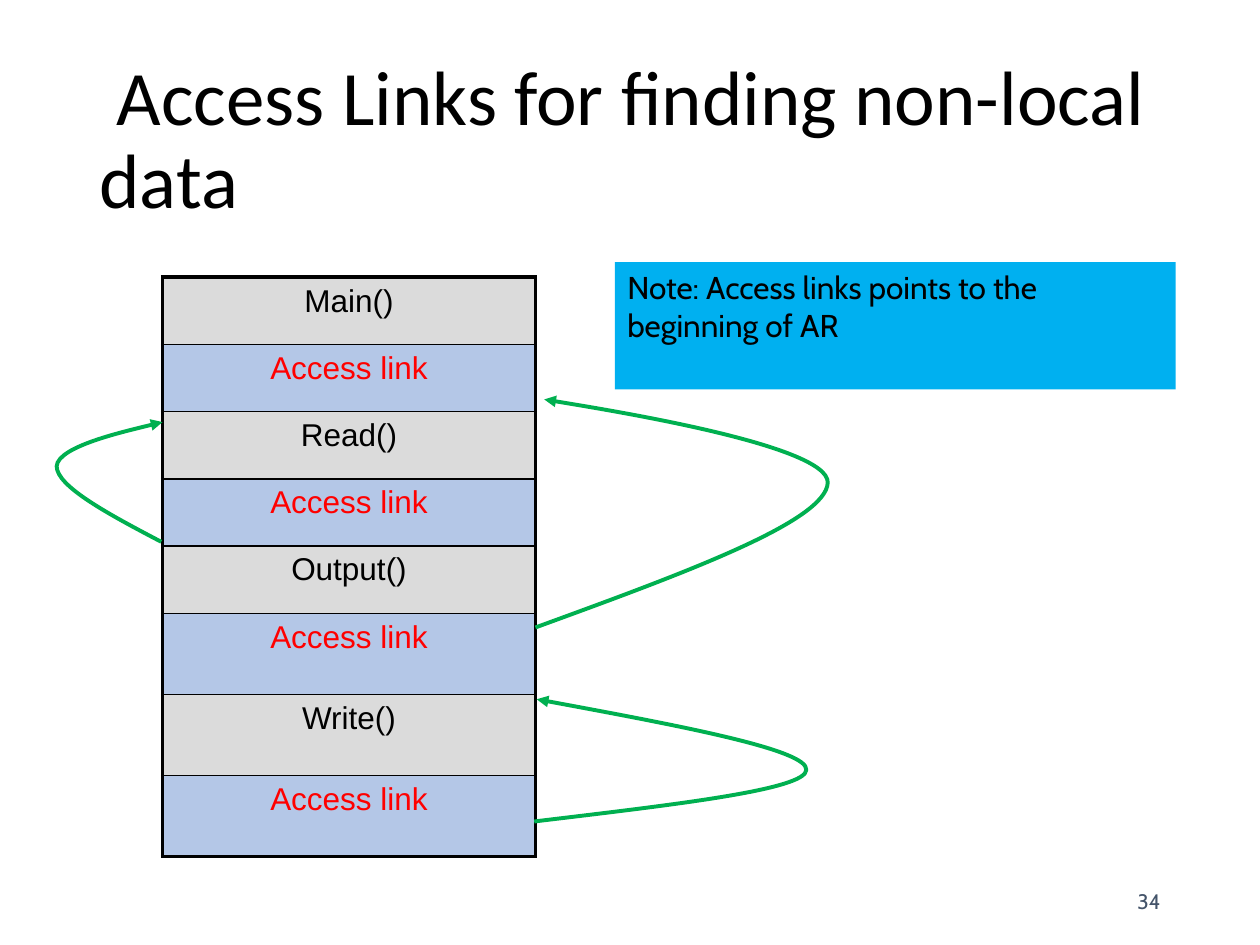
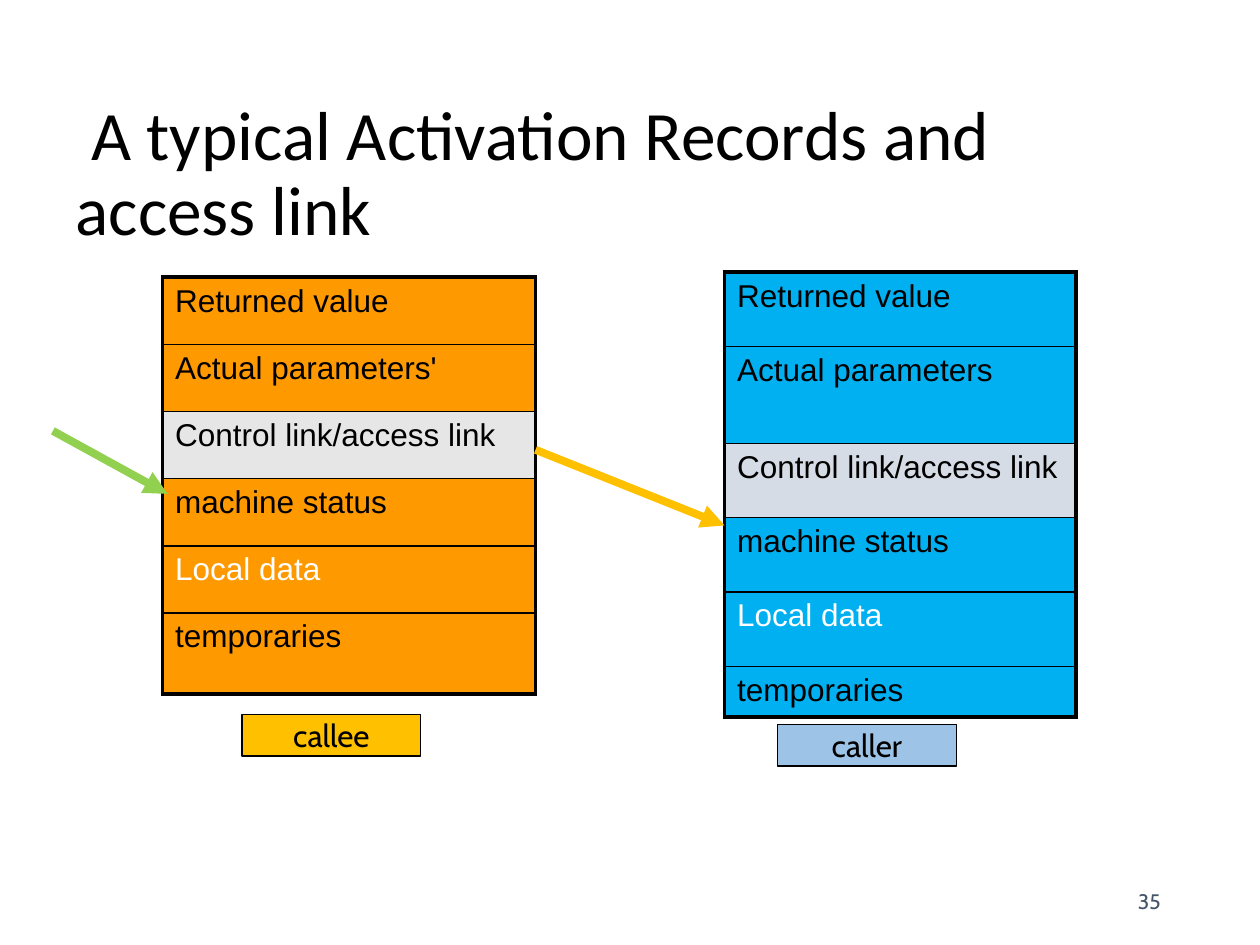
import pptx
import pptx.util
import pptx.dml.color
import pptx.enum.shapes
import pptx.enum.text
import pptx.oxml
import pptx.oxml.ns

Inches = pptx.util.Inches
Pt = pptx.util.Pt
ALIGN = pptx.enum.text.PP_ALIGN
ANCHOR = pptx.enum.text.MSO_ANCHOR
RECTANGLE = pptx.enum.shapes.MSO_SHAPE.RECTANGLE

WIDTH, HEIGHT = 10, 7.5
BLACK, WHITE, RED, SLATE = "000000", "FFFFFF", "FF0000", "44546A"
GREY, PALE_BLUE, GREEN = "DBDBDB", "B4C7E7", "00B050"
ORANGE, SKY, AMBER, LIME = "FF9900", "00B0F0", "FFC000", "92D050"
BODY_FONT, TABLE_FONT, TITLE_FONT = "Cabin", "Arial", "Calibri"
NUMBER_PLACE = (7.06, 6.95, 2.25, 0.4)
THICK, THIN = 2.25, 1

PROCEDURES = ["Main()", "Read()", "Output()", "Write()"]
STACK_ROWS = [
    row
    for name in PROCEDURES
    for row in ((name, GREY, BLACK), ("Access link", PALE_BLUE, RED))
]
STACK_PLACE = (1.29, 2.2, 2.96, 4.6)
STACK_SHARES = [53] * 5 + [64] * 3
NOTE = "Note: Access links points to the beginning of AR"

# Each link is a chain of cubic curves: start, then two controls and an end per curve
ACCESS_LINKS = [
    [(1.28, 4.3), (0.86, 4.08), (0.45, 3.86), (0.45, 3.7),
     (0.46, 3.54), (1.29, 3.35), (1.29, 3.35)],
    [(4.25, 4.98), (5.4, 4.56), (6.56, 4.14), (6.57, 3.83),
     (6.58, 3.53), (4.32, 3.17), (4.32, 3.17)],
    [(4.24, 6.52), (5.32, 6.39), (6.4, 6.27), (6.4, 6.11),
     (6.41, 5.95), (5.34, 5.75), (4.26, 5.55)],
]

RECORD_FIELDS = ["Returned value", "Actual parameters", "Control link/access link",
                 "machine status", "Local data", "temporaries"]
RECORDS = [
    dict(place=(1.29, 2.2, 2.96, 3.31), shares=[53] * 5 + [64],
         fill=ORANGE, link_fill="E7E6E6", suffix="'",
         label="callee", label_fill=AMBER, label_at=(1.92, 5.67)),
    dict(place=(5.75, 2.16, 2.79, 3.53), shares=[59, 77] + [59] * 3 + [40],
         fill=SKY, link_fill="D6DCE5", suffix="",
         label="caller", label_fill="9DC3E6", label_at=(6.17, 5.75)),
]
RECORD_ARROWS = [
    ((4.25, 3.57), (5.75, 4.17), AMBER),
    ((0.42, 3.42), (1.33, 3.92), LIME),
]


def color(value):
    return pptx.dml.color.RGBColor.from_string(value)


def element(tag, **attributes):
    node = pptx.oxml.parse_xml(f"<{tag} {pptx.oxml.ns.nsdecls('a')}/>")
    for name, value in attributes.items():
        node.set(name, value)
    return node


def write(frame, text, size=18, font=BODY_FONT, ink=BLACK, align=ALIGN.LEFT, spacing=None):
    para = frame.paragraphs[0]
    para.alignment = align
    if spacing:
        para.line_spacing = spacing
    span = para.add_run()
    span.text = text
    span.font.size = Pt(size)
    span.font.name = font
    span.font.color.rgb = color(ink)


def add_page(deck, title, number, place, size):
    """Add a title-only slide with its title and its slide number."""
    page = deck.slides.add_slide(deck.slide_layouts[5])
    heading = page.shapes.title
    heading.left, heading.top, heading.width, heading.height = map(Inches, place)
    heading.text_frame.auto_size = pptx.enum.text.MSO_AUTO_SIZE.NONE
    heading.text_frame.vertical_anchor = ANCHOR.MIDDLE
    write(heading.text_frame, title, size=size, font=TITLE_FONT, spacing=0.9)

    box = page.shapes.add_textbox(*map(Inches, NUMBER_PLACE))
    box.text_frame.word_wrap = True
    box.text_frame.vertical_anchor = ANCHOR.MIDDLE
    write(box.text_frame, str(number), size=12, ink=SLATE, align=ALIGN.RIGHT)
    return page


def set_borders(cell, top, bottom):
    """Draw thick sides, and top and bottom lines of the given points."""
    properties = cell._tc.get_or_add_tcPr()
    sides = {"L": THICK, "R": THICK, "T": top, "B": bottom}
    for index, (side, points) in enumerate(sides.items()):
        line = element(f"a:ln{side}", w=str(Pt(points)))
        fill = element("a:solidFill")
        fill.append(element("a:srgbClr", val=BLACK))
        line.append(fill)
        properties.insert(index, line)


def add_stack(page, rows, place, shares, align):
    """Add a one-column table; rows hold text, fill and text colour."""
    table = page.shapes.add_table(len(rows), 1, *map(Inches, place)).table
    table.first_row = table.horz_banding = False
    unit = place[3] / sum(shares)
    last = len(rows) - 1
    for index, ((text, fill, ink), share) in enumerate(zip(rows, shares)):
        table.rows[index].height = Inches(share * unit)
        cell = table.cell(index, 0)
        cell.fill.solid()
        cell.fill.fore_color.rgb = color(fill)
        set_borders(cell, THICK if index == 0 else THIN, THICK if index == last else THIN)
        write(cell.text_frame, text, font=TABLE_FONT, ink=ink, align=align)


def add_box(page, text, place, fill, outline=None, align=ALIGN.LEFT,
            anchor=ANCHOR.TOP, wrap=True):
    box = page.shapes.add_shape(RECTANGLE, *map(Inches, place))
    box.shadow.inherit = False
    box.fill.solid()
    box.fill.fore_color.rgb = color(fill)
    if outline:
        box.line.color.rgb = color(outline)
        box.line.width = Pt(0.75)
    else:
        box.line.fill.background()
    box.text_frame.word_wrap = wrap
    box.text_frame.vertical_anchor = anchor
    write(box.text_frame, text, align=align)


def style_arrow(line, ink, points):
    line.color.rgb = color(ink)
    line.width = Pt(points)
    line._get_or_add_ln().append(element("a:tailEnd", type="triangle"))


def bend(shape):
    """Turn each three straight segments of a freeform into one cubic curve."""
    segments = shape._element.xpath(".//a:lnTo")
    for first in range(0, len(segments), 3):
        cubic = element("a:cubicBezTo")
        segments[first].addprevious(cubic)
        for segment in segments[first:first + 3]:
            cubic.append(segment[0])
            segment.getparent().remove(segment)


def add_curve(page, chain):
    points = [(Inches(x), Inches(y)) for x, y in chain]
    builder = page.shapes.build_freeform(*points[0])
    builder.add_line_segments(points[1:], close=False)
    curve = builder.convert_to_shape()
    bend(curve)
    curve.shadow.inherit = False
    curve.fill.background()
    style_arrow(curve.line, GREEN, 2.25)


def add_arrow(page, start, end, ink):
    arrow = page.shapes.add_connector(
        pptx.enum.shapes.MSO_CONNECTOR.STRAIGHT, *map(Inches, start + end)
    )
    style_arrow(arrow.line, ink, 4.5)
    arrow._element.spPr.append(element("a:effectLst"))


def add_access_links(deck):
    page = add_page(deck, " Access Links for finding non-local data", 34,
                    (0.69, 0.4, 8.62, 1.45), 44)
    add_stack(page, STACK_ROWS, STACK_PLACE, STACK_SHARES, ALIGN.CENTER)
    for chain in ACCESS_LINKS:
        add_curve(page, chain)
    add_box(page, NOTE, (4.88, 2.08, 4.45, 1.01), SKY)


def add_activation_records(deck):
    page = add_page(deck, " A typical Activation Records and access link", 35,
                    (0.5, 0.77, 9, 1.25), 39.6)
    for record in RECORDS:
        rows = []
        for field in RECORD_FIELDS:
            text = field + record["suffix"] if field == "Actual parameters" else field
            fill = record["link_fill"] if field.startswith("Control") else record["fill"]
            rows.append((text, fill, WHITE if field == "Local data" else BLACK))
        add_stack(page, rows, record["place"], record["shares"], ALIGN.LEFT)
    for start, end, ink in RECORD_ARROWS:
        add_arrow(page, start, end, ink)
    for record in RECORDS:
        add_box(page, record["label"], record["label_at"] + (1.42, 0.33),
                record["label_fill"], outline=BLACK, align=ALIGN.CENTER,
                anchor=ANCHOR.MIDDLE, wrap=False)


def main():
    deck = pptx.Presentation()
    deck.slide_width, deck.slide_height = Inches(WIDTH), Inches(HEIGHT)
    add_access_links(deck)
    add_activation_records(deck)
    deck.save("out.pptx")


if __name__ == "__main__":
    main()
